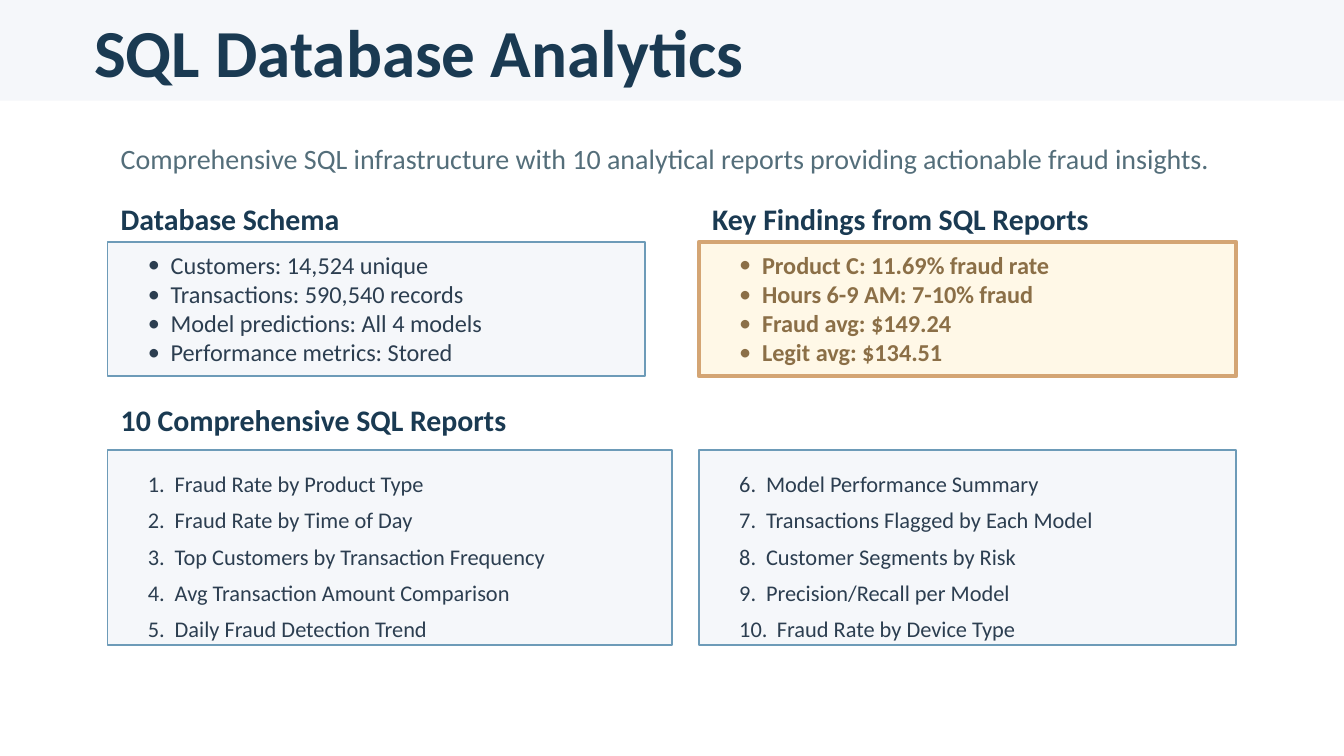
from pptx import Presentation
from pptx.dml.color import RGBColor
from pptx.enum.shapes import MSO_SHAPE
from pptx.enum.text import MSO_ANCHOR, MSO_AUTO_SIZE, PP_ALIGN
from pptx.oxml.ns import qn
from pptx.util import Inches, Pt
from lxml.etree import SubElement

NAVY, SLATE, INK, BROWN = "1A3A52", "546E7A", "2C3E50", "8B6F47"
PALE, BLUE, CREAM, GOLD = "F5F7FA", "6D9BB8", "FFF8E7", "D4A574"
LEFT, RIGHT = 0.8, 5.2

SCHEMA = ["Customers: 14,524 unique", "Transactions: 590,540 records",
          "Model predictions: All 4 models", "Performance metrics: Stored"]
FINDINGS = ["Product C: 11.69% fraud rate", "Hours 6-9 AM: 7-10% fraud",
            "Fraud avg: $149.24", "Legit avg: $134.51"]
REPORTS = ["Fraud Rate by Product Type", "Fraud Rate by Time of Day",
           "Top Customers by Transaction Frequency",
           "Avg Transaction Amount Comparison", "Daily Fraud Detection Trend",
           "Model Performance Summary", "Transactions Flagged by Each Model",
           "Customer Segments by Risk", "Precision/Recall per Model",
           "Fraud Rate by Device Type"]


def color(code):
    return RGBColor.from_string(code)


def place(shape, x, y, w, h):
    shape.left, shape.top = Inches(x), Inches(y)
    shape.width, shape.height = Inches(w), Inches(h)


def write(shape, lines, size, ink, bold=False, anchor=MSO_ANCHOR.MIDDLE):
    frame = shape.text_frame
    frame.text = "\n".join(lines)
    frame.word_wrap = True
    frame.auto_size = MSO_AUTO_SIZE.NONE
    frame.vertical_anchor = anchor
    for para in frame.paragraphs:
        para.alignment = PP_ALIGN.LEFT
        para.space_before = Pt(0)
        font = para.runs[0].font
        font.name, font.size, font.bold = "Calibri", Pt(size), bold
        font.color.rgb = color(ink)


def add_label(slide, text, box, size=16, ink=NAVY, bold=True):
    label = slide.shapes.add_textbox(*map(Inches, box))
    write(label, [text], size, ink, bold)


def add_panel(slide, box, fill, edge=None, width=1):
    panel = slide.shapes.add_shape(MSO_SHAPE.RECTANGLE, *map(Inches, box))
    panel.shadow.inherit = False
    panel.fill.solid()
    panel.fill.fore_color.rgb = color(fill)
    if edge:
        panel.line.color.rgb = color(edge)
        panel.line.width = Pt(width)
    else:
        panel.line.fill.background()
    return panel


def mark(para, indent, tag, **attrs):
    """Give a paragraph a hanging bullet or number."""
    props = para._p.get_or_add_pPr()
    props.set("marL", str(Inches(indent)))
    props.set("indent", str(-Inches(indent)))
    SubElement(props, qn("a:buFont"), typeface="Calibri")
    SubElement(props, qn(tag), **attrs)


def fill_bullets(body, x, lines, ink, bold=False):
    place(body, x, 1.92, 3.6, 0.75)
    write(body, lines, 13, ink, bold)
    for para in body.text_frame.paragraphs:
        mark(para, 0.17, "a:buChar", char="•")


def fill_numbers(body, x, width, lines, start):
    place(body, x, 3.5, width, 1.3)
    write(body, lines, 12, INK, anchor=MSO_ANCHOR.TOP)
    body.text_frame.margin_top = body.text_frame.margin_bottom = 0
    for number, para in enumerate(body.text_frame.paragraphs, start):
        para.space_after = Pt(5)
        indent = 0.2 if number < 10 else 0.28
        mark(para, indent, "a:buAutoNum", type="arabicPeriod",
             startAt=str(start))


def main():
    deck = Presentation()
    deck.slide_width = Inches(10)
    deck.slide_height = deck.slide_width * 9 // 16
    slide = deck.slides.add_slide(deck.slide_layouts.get_by_name("Comparison"))
    title, *bodies = list(slide.placeholders)[:5]

    panels = [
        add_panel(slide, (0, 0, 10, 0.75), PALE),
        add_panel(slide, (LEFT, 1.8, 4, 1), PALE, BLUE),
        add_panel(slide, (RIGHT, 1.8, 4, 1), CREAM, GOLD, 2),
        add_panel(slide, (LEFT, 3.35, 4.2, 1.45), PALE, BLUE),
        add_panel(slide, (RIGHT, 3.35, 4, 1.45), PALE, BLUE),
    ]
    for holder, panel in zip([title, *bodies], panels):
        holder._element.addprevious(panel._element)

    place(title, 0.6, 0.2, 8.8, 0.35)
    write(title, ["SQL Database Analytics"], 36, NAVY, True)
    add_label(slide, "Comprehensive SQL infrastructure with 10 analytical "
              "reports providing actionable fraud insights.",
              (LEFT, 1, 8.4, 0.35), 15, SLATE, False)
    add_label(slide, "Database Schema", (LEFT, 1.5, 4, 0.25))
    add_label(slide, "Key Findings from SQL Reports", (RIGHT, 1.5, 4, 0.25))
    add_label(slide, "10 Comprehensive SQL Reports", (LEFT, 3, 8.4, 0.25))

    fill_bullets(bodies[0], LEFT + 0.2, SCHEMA, INK)
    fill_bullets(bodies[1], RIGHT + 0.2, FINDINGS, BROWN, True)
    fill_numbers(bodies[2], LEFT + 0.2, 3.8, REPORTS[:5], 1)
    fill_numbers(bodies[3], RIGHT + 0.2, 3.6, REPORTS[5:], 6)
    deck.save("out.pptx")


if __name__ == "__main__":
    main()
